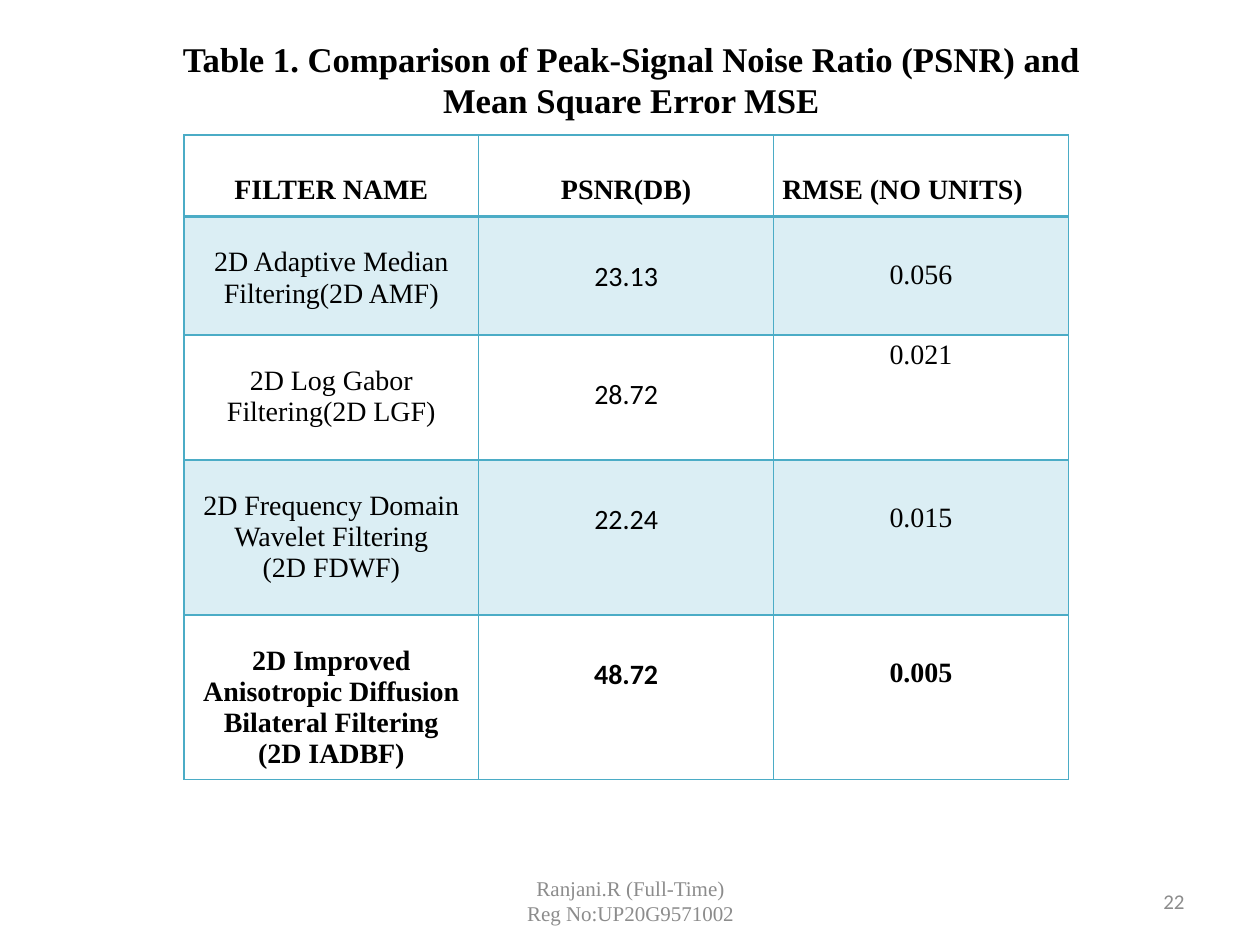
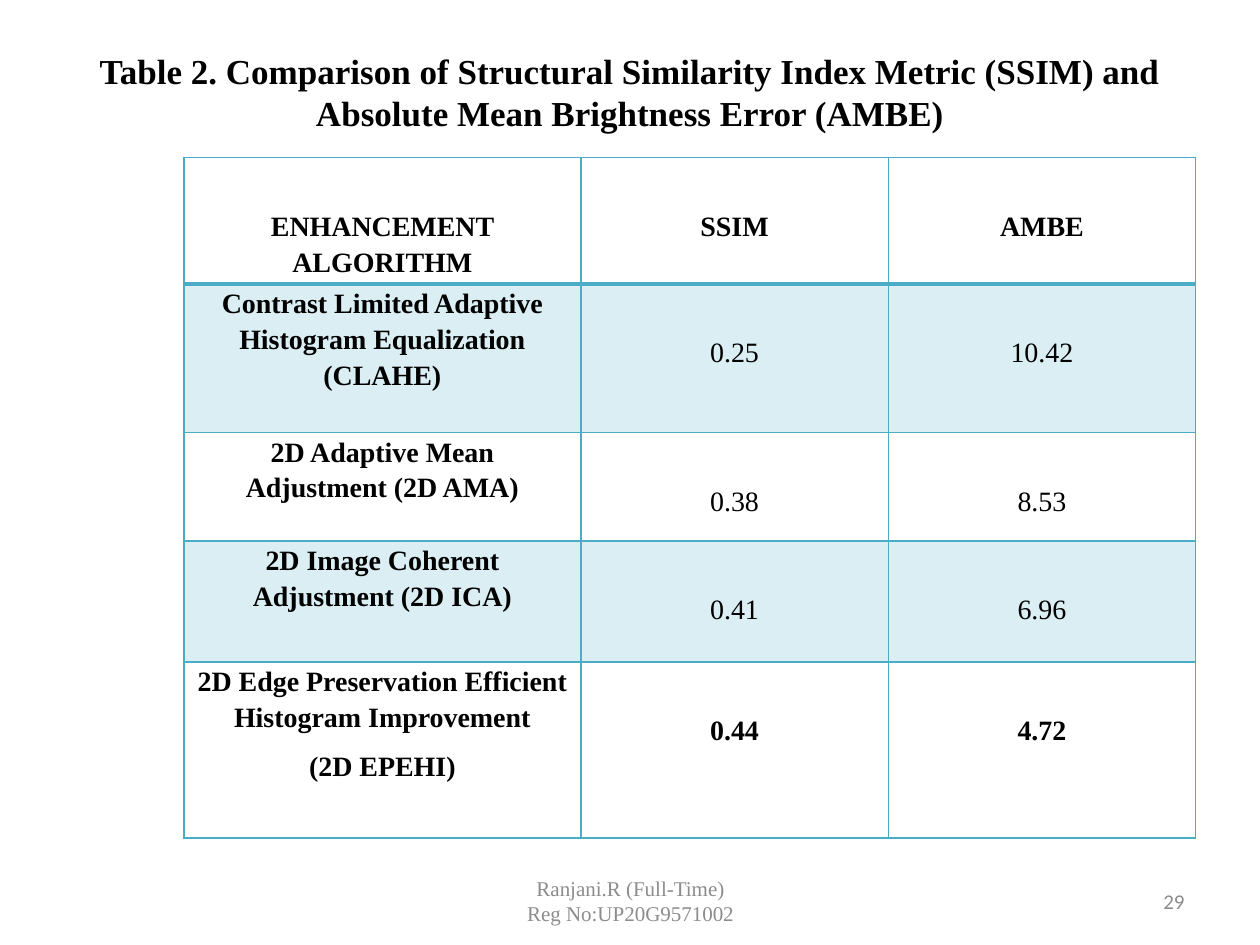
from lxml.etree import SubElement
from pptx import Presentation
from pptx.dml.color import RGBColor
from pptx.enum.text import MSO_ANCHOR, PP_ALIGN
from pptx.oxml.ns import qn
from pptx.util import Inches, Pt

COLORS = {"ink": "000000", "grid": "4BACC6", "band": "DBEEF4", "footer": "8C8C8C"}
SERIF, SANS = "Times New Roman", "Calibri"
AUTHOR = "Ranjani.R (Full-Time)\nReg No:UP20G9571002"
AUTHOR_BOX = (3.42, 6.95, 3.17, 0.4)
NUMBER_BOX = (7.17, 6.95, 2.33, 0.4)
TABLE_LEFT = 1.46
THIN, THICK = 1, 2.25

COMPARISONS = [
    {
        "title": "Table 1. Comparison of Peak-Signal Noise Ratio (PSNR) and\vMean Square Error MSE",
        "title_box": (0.51, 0.36, 9, 0.54),
        "title_size": 19.8,
        "number": "22",
        "top": 1.07,
        "columns": [2.34, 2.34, 2.34],
        "heights": [0.65, 0.94, 0.99, 1.23, 1.24],
        "rows": [
            ("FILTER NAME", "PSNR(DB)", "RMSE (NO UNITS)"),
            ("2D Adaptive Median Filtering(2D AMF)", "23.13", "0.056"),
            ("2D Log Gabor Filtering(2D LGF)", "28.72", "0.021"),
            ("2D Frequency Domain Wavelet Filtering\n(2D FDWF)", "22.24", "0.015"),
            ("2D Improved Anisotropic Diffusion Bilateral Filtering\n(2D IADBF)", "48.72", "0.005"),
        ],
        "fonts": [SERIF, SANS, SERIF],
        "name_spacing": 1.0,
        "bold_names": False,
        "header_inset": 0.28,
        "insets": [0.24, 0.3, 0.3],
        "raised": "0.021",
        "left_aligned": "RMSE (NO UNITS)",
    },
    {
        "title": "Table 2. Comparison of Structural Similarity Index Metric (SSIM) and "
                 "Absolute Mean Brightness Error (AMBE)",
        "title_box": (0.5, 0.3, 9, 0.85),
        "title_size": 20,
        "number": "29",
        "top": 1.25,
        "columns": [3.15, 2.44, 2.44],
        "heights": [0.96, 1.18, 0.86, 0.96, 1.4],
        "rows": [
            ("ENHANCEMENT ALGORITHM", "SSIM", "AMBE"),
            ("Contrast Limited Adaptive Histogram Equalization (CLAHE)", "0.25", "10.42"),
            ("2D Adaptive Mean\vAdjustment (2D AMA)", "0.38", "8.53"),
            ("2D Image Coherent\vAdjustment (2D ICA)", "0.41", "6.96"),
            ("2D Edge Preservation Efficient Histogram Improvement\n(2D EPEHI)", "0.44", "4.72"),
        ],
        "fonts": [SERIF, SERIF, SERIF],
        "name_spacing": 1.15,
        "space_after": 8,
        "bold_names": True,
        "header_inset": 0.39,
        "insets": [0, 0.39, 0.39],
    },
]


def write(frame, text, size, font, color, bold=False, align=PP_ALIGN.CENTER, spacing=None, after=0):
    frame.word_wrap = True
    frame.text = text
    for paragraph in frame.paragraphs:
        paragraph.alignment = align
        paragraph.line_spacing = spacing
        paragraph.space_after = Pt(after)
        for run in paragraph.runs:
            run.font.size = Pt(size)
            run.font.name = font
            run.font.bold = bold
            run.font.color.rgb = RGBColor.from_string(COLORS[color])


def add_label(slide, box, text, size, font, color, **style):
    frame = slide.shapes.add_textbox(*map(Inches, box)).text_frame
    frame.vertical_anchor = MSO_ANCHOR.MIDDLE
    write(frame, text, size, font, color, **style)


def outline(cell, row):
    widths = {"L": THIN, "R": THIN, "T": THICK if row == 1 else THIN, "B": THICK if row == 0 else THIN}
    properties = cell._tc.get_or_add_tcPr()
    for side, width in widths.items():
        line = SubElement(properties, qn(f"a:ln{side}"), w=str(Pt(width)))
        SubElement(SubElement(line, qn("a:solidFill")), qn("a:srgbClr"), val=COLORS["grid"])


def fill_cell(cell, row, column, text, comparison):
    header, name = row == 0, column == 0
    last = row == len(comparison["rows"]) - 1
    outline(cell, row)
    if row % 2:
        cell.fill.solid()
        cell.fill.fore_color.rgb = RGBColor.from_string(COLORS["band"])
    else:
        cell.fill.background()
    cell.margin_left = cell.margin_right = Inches(0.07)
    inset = comparison["header_inset"] if header else comparison["insets"][column]
    cell.margin_top = Inches(0 if text == comparison.get("raised") else inset)
    cell.margin_bottom = 0
    write(
        cell.text_frame, text, 16, SERIF if header else comparison["fonts"][column], "ink",
        bold=header or last or (name and comparison["bold_names"]),
        align=PP_ALIGN.LEFT if text == comparison.get("left_aligned") else PP_ALIGN.CENTER,
        spacing=comparison["name_spacing"] if name and not header else 1.15,
        after=comparison.get("space_after", 0),
    )


def add_comparison(slide, comparison):
    rows, columns, heights = (comparison[key] for key in ("rows", "columns", "heights"))
    bounds = (TABLE_LEFT, comparison["top"], sum(columns), sum(heights))
    table = slide.shapes.add_table(len(rows), len(columns), *map(Inches, bounds)).table
    table.first_row = table.horz_banding = False
    for column, width in zip(table.columns, columns):
        column.width = Inches(width)
    for row, height in zip(table.rows, heights):
        row.height = Inches(height)
    for r, texts in enumerate(rows):
        for c, text in enumerate(texts):
            fill_cell(table.cell(r, c), r, c, text, comparison)


def main():
    deck = Presentation()
    deck.slide_width, deck.slide_height = Inches(10), Inches(7.5)
    for comparison in COMPARISONS:
        slide = deck.slides.add_slide(deck.slide_layouts[6])
        add_label(slide, comparison["title_box"], comparison["title"],
                  comparison["title_size"], SERIF, "ink", bold=True)
        add_comparison(slide, comparison)
        add_label(slide, NUMBER_BOX, comparison["number"], 12, SANS, "footer", align=PP_ALIGN.RIGHT)
        add_label(slide, AUTHOR_BOX, AUTHOR, 12, SERIF, "footer")
    deck.save("out.pptx")


if __name__ == "__main__":
    main()
